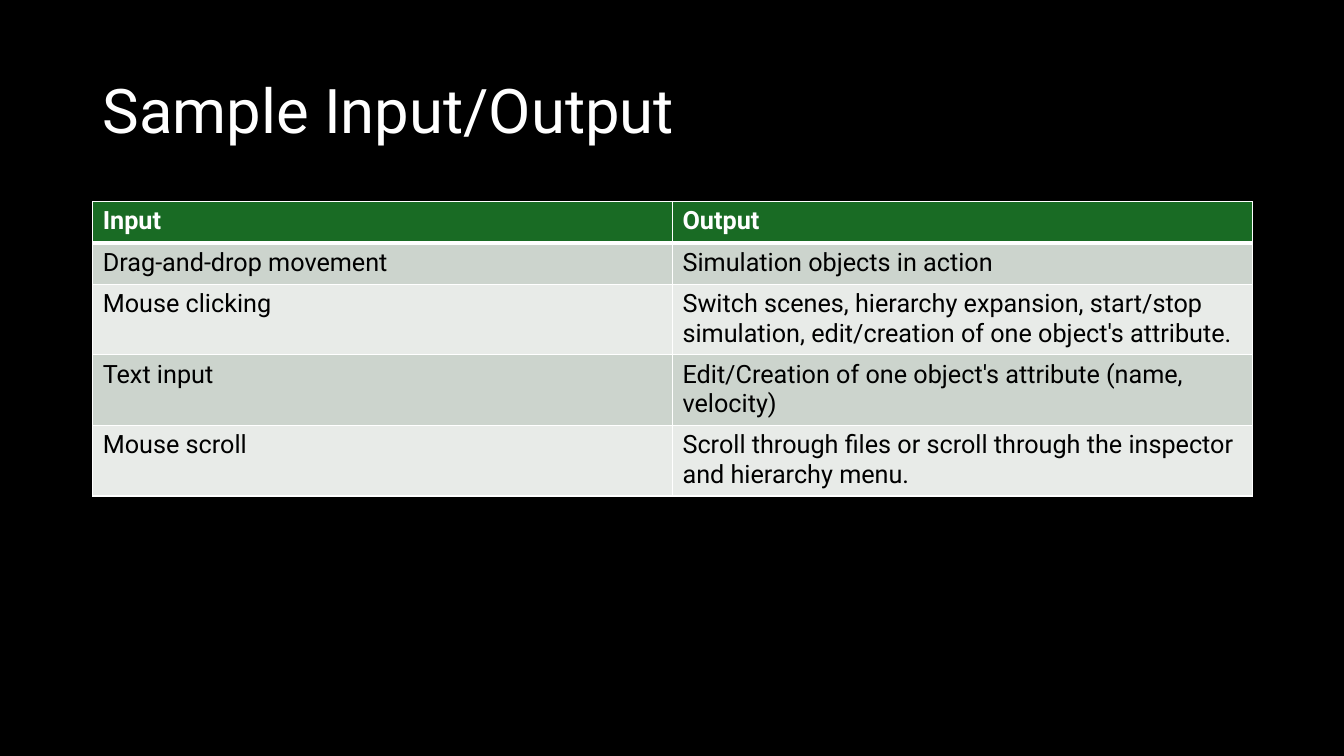
from dataclasses import dataclass

from lxml.etree import SubElement
from pptx import Presentation
from pptx.dml.color import RGBColor
from pptx.enum.text import MSO_ANCHOR
from pptx.oxml.ns import qn
from pptx.slide import Slide
from pptx.table import _Cell as Cell
from pptx.text.text import _Paragraph as Paragraph
from pptx.util import Inches, Pt

BLACK = RGBColor(0x00, 0x00, 0x00)
WHITE = RGBColor(0xFF, 0xFF, 0xFF)
GREEN = RGBColor(0x19, 0x6B, 0x24)
DARK_BAND = RGBColor(0xCC, 0xD4, 0xCD)
LIGHT_BAND = RGBColor(0xE8, 0xEB, 0xE8)

FONT = "Roboto"
LEFT = 0.92
WIDTH = 11.5
THIN = 1
THICK = 3


@dataclass(frozen=True)
class TableRow:
    input: str
    output: str
    height: float = 0.41


ROWS = [
    TableRow("Input", "Output"),
    TableRow("Drag-and-drop movement", "Simulation objects in action"),
    TableRow(
        "Mouse clicking",
        "Switch scenes, hierarchy expansion, start/stop simulation, "
        "edit/creation of one object's attribute.",
        0.69,
    ),
    TableRow(
        "Text input",
        "Edit/Creation of one object's attribute (name, velocity)",
        0.69,
    ),
    TableRow(
        "Mouse scroll",
        "Scroll through files or scroll through the inspector and hierarchy menu.",
        0.69,
    ),
]


def style_text(
    paragraph: Paragraph, size: int, color: RGBColor, bold: bool = False
) -> None:
    font = paragraph.font
    font.name = FONT
    font.size = Pt(size)
    font.bold = bold
    font.color.rgb = color


def set_borders(cell: Cell, top: int, bottom: int) -> None:
    properties = cell._tc.get_or_add_tcPr()
    widths = {"a:lnL": THIN, "a:lnR": THIN, "a:lnT": top, "a:lnB": bottom}
    for tag, width in widths.items():
        line = SubElement(properties, qn(tag), w=str(Pt(width)))
        fill = SubElement(line, qn("a:solidFill"))
        SubElement(fill, qn("a:srgbClr"), val=str(WHITE))


def add_title(slide: Slide, text: str) -> None:
    title = slide.shapes.add_textbox(
        Inches(LEFT), Inches(0.4), Inches(WIDTH), Inches(1.45)
    )
    frame = title.text_frame
    frame.word_wrap = True
    frame.vertical_anchor = MSO_ANCHOR.MIDDLE
    paragraph = frame.paragraphs[0]
    paragraph.text = text
    paragraph.line_spacing = 0.9
    style_text(paragraph, 44, WHITE)


def fill_cell(cell: Cell, text: str, row_index: int) -> None:
    is_header = row_index == 0
    set_borders(
        cell,
        top=THICK if row_index == 1 else THIN,
        bottom=THICK if is_header else THIN,
    )
    band = DARK_BAND if row_index % 2 else LIGHT_BAND
    cell.fill.solid()
    cell.fill.fore_color.rgb = GREEN if is_header else band
    cell.text = text
    style_text(
        cell.text_frame.paragraphs[0], 18, WHITE if is_header else BLACK, is_header
    )


def add_samples(slide: Slide, rows: list[TableRow]) -> None:
    height = sum(row.height for row in rows)
    table = slide.shapes.add_table(
        len(rows), 2, Inches(LEFT), Inches(2), Inches(WIDTH), Inches(height)
    ).table
    for row_index, row in enumerate(rows):
        table.rows[row_index].height = Inches(row.height)
        for column_index, text in enumerate((row.input, row.output)):
            fill_cell(table.cell(row_index, column_index), text, row_index)


def main() -> None:
    presentation = Presentation()
    presentation.slide_width = Inches(13.33)
    presentation.slide_height = Inches(7.5)
    slide = presentation.slides.add_slide(presentation.slide_layouts[6])
    slide.background.fill.solid()
    slide.background.fill.fore_color.rgb = BLACK
    add_title(slide, "Sample Input/Output")
    add_samples(slide, ROWS)
    presentation.save("out.pptx")


if __name__ == "__main__":
    main()
